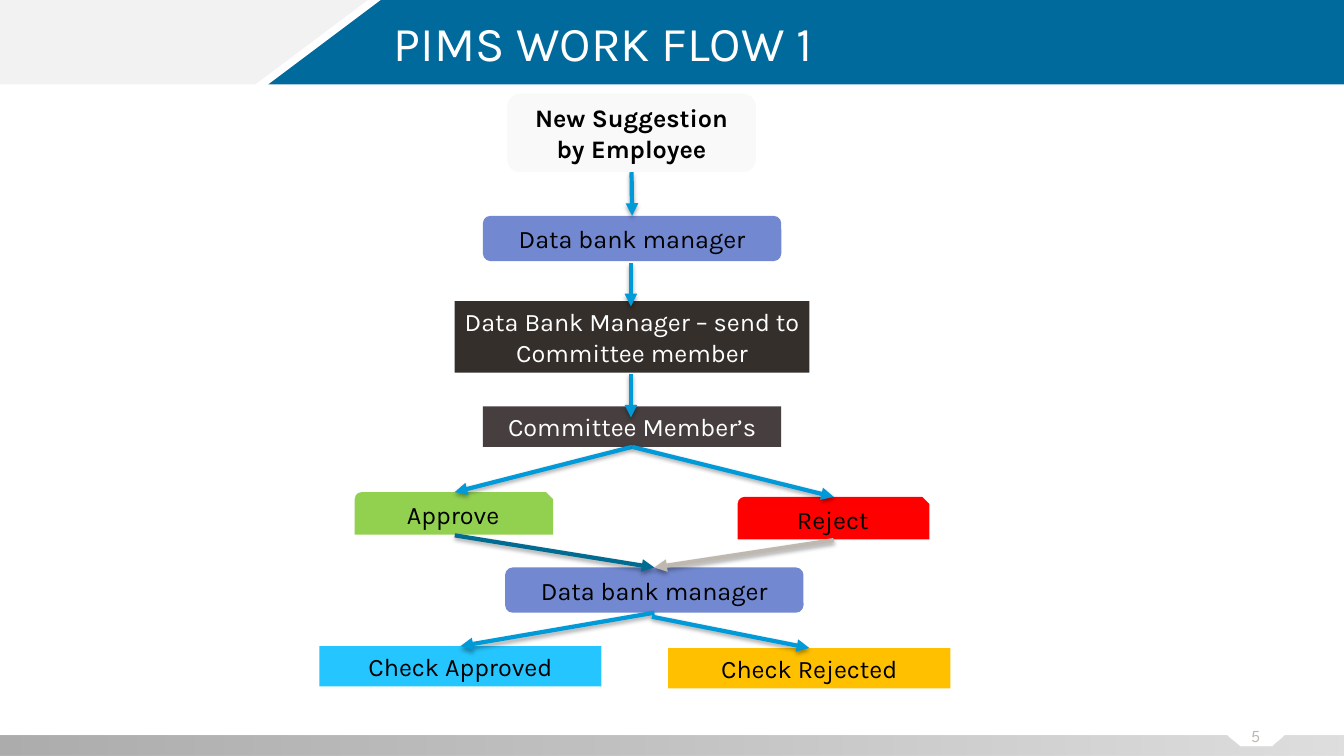
"""Build the PIMS work flow slide with python-pptx."""
from lxml import etree
from pptx import Presentation
from pptx import util as u
from pptx.dml.color import RGBColor
from pptx.enum import shapes, text
from pptx.oxml.ns import qn

COLORS = {
    "header": "006A9C", "pale": "F2F2F2", "white": "FFFFFF", "black": "000000",
    "stone": "BFB8B1", "card": "F9F9F9", "manager": "7288D0", "send": "342F2B",
    "committee": "473F3F", "green": "92D050", "red": "FF0000", "cyan": "25C6FF",
    "amber": "FFC000", "arrow": "009AD9", "teal": "006C92",
    "dark_gray": "595959", "mid_gray": "808080", "light_gray": "BFBFBF",
}


def color(name):
    return RGBColor.from_string(COLORS[name])


def write(box, words, size, font, ink, align):
    frame = box.text_frame
    frame.word_wrap = True
    frame.vertical_anchor = text.MSO_ANCHOR.MIDDLE
    para = frame.paragraphs[0]
    para.text = words
    para.alignment = align
    span = para.runs[0]
    span.font.size = u.Pt(size)
    span.font.name = font
    span.font.color.rgb = color(ink)
    return para


deck = Presentation()
deck.slide_width, deck.slide_height = u.Cm(33.87), u.Cm(19.05)
page = deck.slides.add_slide(deck.slide_layouts[6])

bands = [
    ("header", [(9.6, 0), (33.87, 0), (33.87, 2.13), (6.76, 2.13)]),
    ("pale", [(0, 0), (9.27, 0), (6.43, 2.13), (0, 2.13)]),
    ("light_gray", [(0, 18.54), (30.89, 18.54), (31.24, 18.82), (32.03, 18.82),
                    (32.36, 18.54), (33.87, 18.54), (33.87, 19.05), (0, 19.05)]),
]
for fill, points in bands:
    corners = [(u.Cm(x), u.Cm(y)) for x, y in points]
    outline = page.shapes.build_freeform(*corners[0])
    outline.add_line_segments(corners[1:], close=True)
    band = outline.convert_to_shape()
    band.shadow.inherit = False
    band.fill.solid()
    band.fill.fore_color.rgb = color(fill)
    band.line.fill.background()

footer = band
footer.fill.gradient()
footer.fill.gradient_angle = 0
stops = footer._element.spPr.find(qn("a:gradFill")).find(qn("a:gsLst"))
for stop in list(stops):
    stops.remove(stop)
for position, shade in [(0, "dark_gray"), (42, "mid_gray"), (100, "light_gray")]:
    stop = etree.SubElement(stops, qn("a:gs"), pos=str(position * 1000))
    tone = etree.SubElement(stop, qn("a:srgbClr"), val=COLORS[shade])
    etree.SubElement(tone, qn("a:alpha"), val="50000")

labels = [
    ("5", 31.29, 18.29, 0.71, 0.51, 12, "League Spartan", "stone", text.PP_ALIGN.CENTER),
    ("PIMS WORK FLOW 1", 9.93, 0.61, 21.92, 1.19, 34.7, "Karla", "white", text.PP_ALIGN.LEFT),
]
for words, left, top, width, height, size, font, ink, align in labels:
    box = page.shapes.add_textbox(u.Cm(left), u.Cm(top), u.Cm(width), u.Cm(height))
    frame = box.text_frame
    frame.margin_left = frame.margin_right = frame.margin_top = frame.margin_bottom = 0
    title_para = write(box, words, size, font, ink, align)
title_para.line_spacing = 0.8

RECT = shapes.MSO_SHAPE.RECTANGLE
ROUND = shapes.MSO_SHAPE.ROUNDED_RECTANGLE
SNIP = shapes.MSO_SHAPE.SNIP_ROUND_RECTANGLE
steps = [
    ("suggestion", "New Suggestion by Employee", ROUND, 12.78, 2.36, 6.27, 1.98, "card", "black"),
    ("send", "Data Bank Manager – send to Committee member", RECT,
     11.46, 7.59, 8.94, 1.8, "send", "white"),
    ("committee", "Committee Member’s", RECT, 12.17, 10.24, 7.52, 1.02, "committee", "white"),
    ("approve", "Approve", SNIP, 8.94, 12.4, 5, 1.07, "green", "black"),
    ("reject", "Reject", SNIP, 18.59, 12.52, 4.83, 1.07, "red", "black"),
    ("review", "Data bank manager", ROUND, 12.73, 14.3, 7.52, 1.14, "manager", "black"),
    ("approved", "Check Approved", RECT, 8.05, 16.28, 7.11, 1.02, "cyan", "black"),
    ("rejected", "Check Rejected", RECT, 16.84, 16.33, 7.11, 1.02, "amber", "black"),
    ("manager", "Data bank manager", ROUND, 12.17, 5.44, 7.52, 1.14, "manager", "black"),
]
boxes = {}
for key, words, kind, left, top, width, height, fill, ink in steps:
    box = page.shapes.add_shape(kind, u.Cm(left), u.Cm(top), u.Cm(width), u.Cm(height))
    box.shadow.inherit = False
    box.fill.solid()
    box.fill.fore_color.rgb = color(fill)
    box.line.fill.background()
    write(box, words, 18, "Karla", ink, text.PP_ALIGN.CENTER)
    boxes[key] = box
boxes["suggestion"].text_frame.paragraphs[0].runs[0].font.bold = True

arrows = [
    (15.9, 4.34, 15.93, 5.44, "arrow", "suggestion", "manager"),
    (15.9, 6.63, 15.9, 7.72, "arrow", None, None),
    (15.9, 9.42, 15.9, 10.52, "arrow", None, None),
    (15.9, 11.26, 11.46, 12.4, "arrow", "committee", None),
    (15.9, 11.26, 21.01, 12.52, "arrow", "committee", None),
    (11.46, 13.49, 16.48, 14.3, "teal", None, "review"),
    (21.01, 13.61, 16.48, 14.3, "stone", None, "review"),
    (16.46, 15.42, 11.61, 16.28, "arrow", "review", "approved"),
    (16.43, 15.54, 20.37, 16.28, "arrow", None, "rejected"),
]
for x1, y1, x2, y2, ink, source, target in arrows:
    arrow = page.shapes.add_connector(
        shapes.MSO_CONNECTOR.STRAIGHT, u.Cm(x1), u.Cm(y1), u.Cm(x2), u.Cm(y2))
    if source:
        arrow.begin_connect(boxes[source], 2)
    if target:
        arrow.end_connect(boxes[target], 0)
    arrow.line.color.rgb = color(ink)
    arrow.line.width = u.Pt(3)
    properties = arrow._element.spPr
    etree.SubElement(properties.find(qn("a:ln")), qn("a:tailEnd"), type="triangle")
    effects = etree.SubElement(properties, qn("a:effectLst"))
    shadow = etree.SubElement(effects, qn("a:outerShdw"), blurRad="40000", dist="23000",
                              dir="5400000", rotWithShape="0")
    shade = etree.SubElement(shadow, qn("a:srgbClr"), val=COLORS["black"])
    etree.SubElement(shade, qn("a:alpha"), val="35000")

deck.save("out.pptx")
